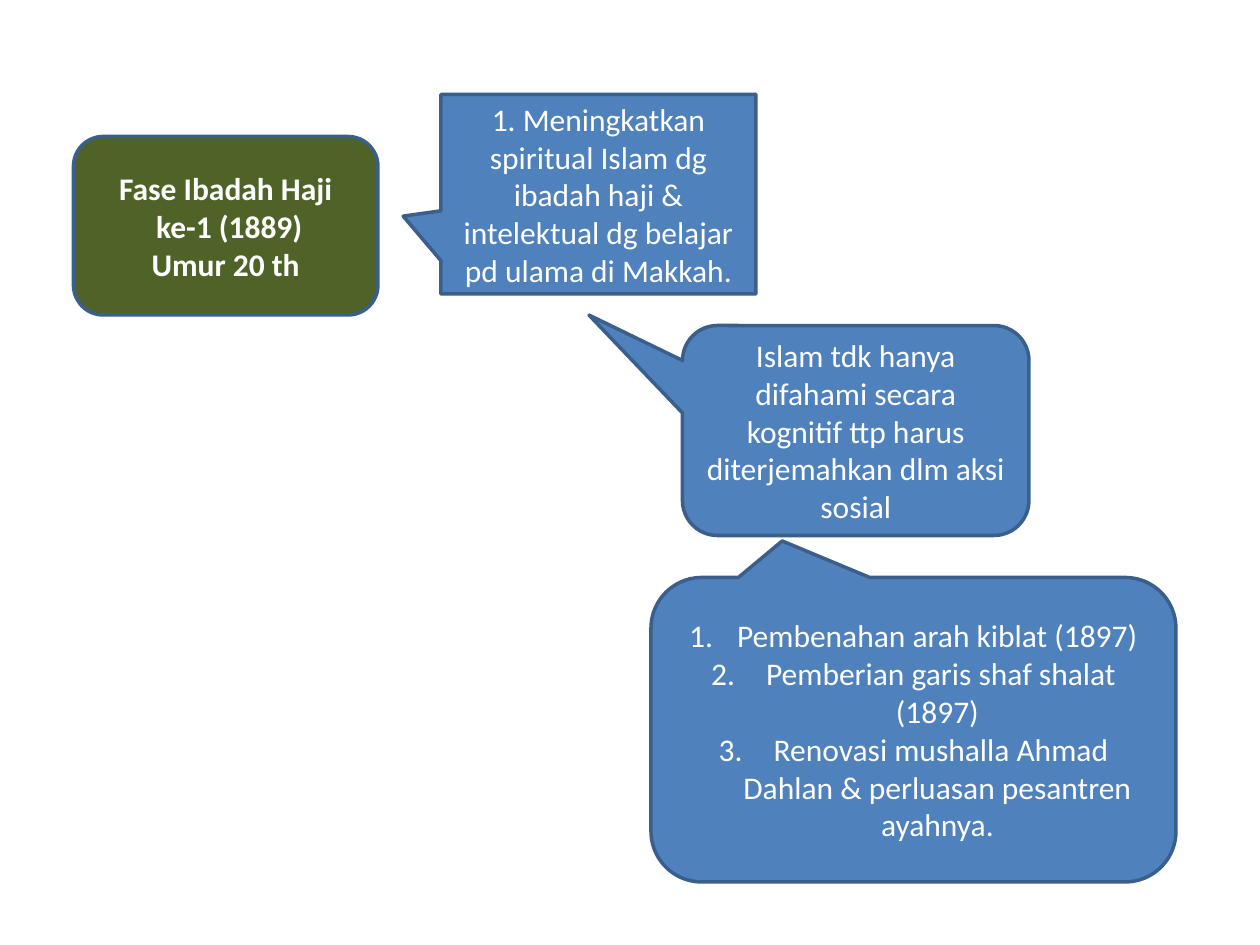
from dataclasses import dataclass

from lxml.etree import SubElement
from pptx import Presentation
from pptx.dml.color import RGBColor as RGB
from pptx.enum.shapes import MSO_SHAPE as SHAPE
from pptx.enum.text import MSO_ANCHOR as ANCHOR, PP_ALIGN as ALIGN
from pptx.oxml.ns import qn
from pptx.util import Inches, Pt


@dataclass(frozen=True)
class Theme:
    phase: RGB = RGB(0x4F, 0x62, 0x28)
    callout: RGB = RGB(0x4F, 0x81, 0xBD)
    outline: RGB = RGB(0x3A, 0x5F, 0x8C)
    text: RGB = RGB(0xFF, 0xFF, 0xFF)
    font: str = "Calibri"
    size: Pt = Pt(18)
    outline_width: Pt = Pt(2)


THEME = Theme()
CELL = Inches(1) // 12  # the slide is a grid of 120 columns by 90 rows
NUMBER_INDENT = Inches(0.38)


def number_paragraph(paragraph):
    """Auto-number a paragraph with a hanging indent."""
    properties = paragraph._p.get_or_add_pPr()
    properties.set("marL", str(NUMBER_INDENT))
    properties.set("indent", str(-NUMBER_INDENT))
    SubElement(properties, qn("a:buFont"), typeface="+mj-lt")
    SubElement(properties, qn("a:buAutoNum"), type="arabicPeriod")


def write_lines(frame, lines, bold, numbered):
    frame.word_wrap = True
    frame.vertical_anchor = ANCHOR.MIDDLE
    for index, line in enumerate(lines):
        paragraph = frame.add_paragraph() if index else frame.paragraphs[0]
        paragraph.text = line
        paragraph.alignment = ALIGN.CENTER
        if numbered:
            number_paragraph(paragraph)
        font = paragraph.font
        font.name, font.size, font.bold = THEME.font, THEME.size, bold
        font.color.rgb = THEME.text


def add_box(slide, kind, cells, fill, lines, bold=False, numbered=False):
    """Add a text box shape; cells is column, row, columns wide, rows high."""
    box = slide.shapes.add_shape(kind, *(CELL * count for count in cells))
    box.shadow.inherit = False
    box.fill.solid()
    box.fill.fore_color.rgb = fill
    box.line.color.rgb = THEME.outline
    box.line.width = THEME.outline_width
    write_lines(box.text_frame, lines, bold, numbered)
    return box


def add_callout(slide, kind, cells, tip, lines, numbered=False):
    """Add a callout; tip is its offset from the centre in shares of its size."""
    callout = add_box(slide, kind, cells, THEME.callout, lines, numbered=numbered)
    for index, share in enumerate(tip):
        callout.adjustments[index] = share


def main():
    prs = Presentation()
    prs.slide_width, prs.slide_height = CELL * 120, CELL * 90
    slide = prs.slides.add_slide(prs.slide_layouts[6])

    # Purpose of the pilgrimage
    add_callout(slide, SHAPE.RECTANGULAR_CALLOUT, (42, 9, 30, 19), (-0.62, 0.11), [
        "1. Meningkatkan spiritual Islam dg ibadah haji & intelektual dg "
        "belajar pd ulama di Makkah."])

    # Lesson drawn from it
    add_callout(slide, SHAPE.ROUNDED_RECTANGULAR_CALLOUT, (65, 31, 33, 20),
                (-0.77, -0.55), [
        "Islam tdk hanya difahami secara kognitif ttp harus diterjemahkan "
        "dlm aksi sosial"])

    # Resulting actions
    add_callout(slide, SHAPE.ROUNDED_RECTANGULAR_CALLOUT, (62, 55, 50, 29),
                (-0.25, -0.62), [
        "Pembenahan arah kiblat (1897)",
        " Pemberian garis shaf shalat (1897)",
        " Renovasi mushalla Ahmad Dahlan & perluasan pesantren ayahnya.",
    ], numbered=True)

    # Phase of life
    add_box(slide, SHAPE.ROUNDED_RECTANGLE, (7, 13, 29, 17), THEME.phase,
            ["Fase Ibadah Haji", " ke-1 (1889)", "Umur 20 th"], bold=True)

    prs.save("out.pptx")


if __name__ == "__main__":
    main()
